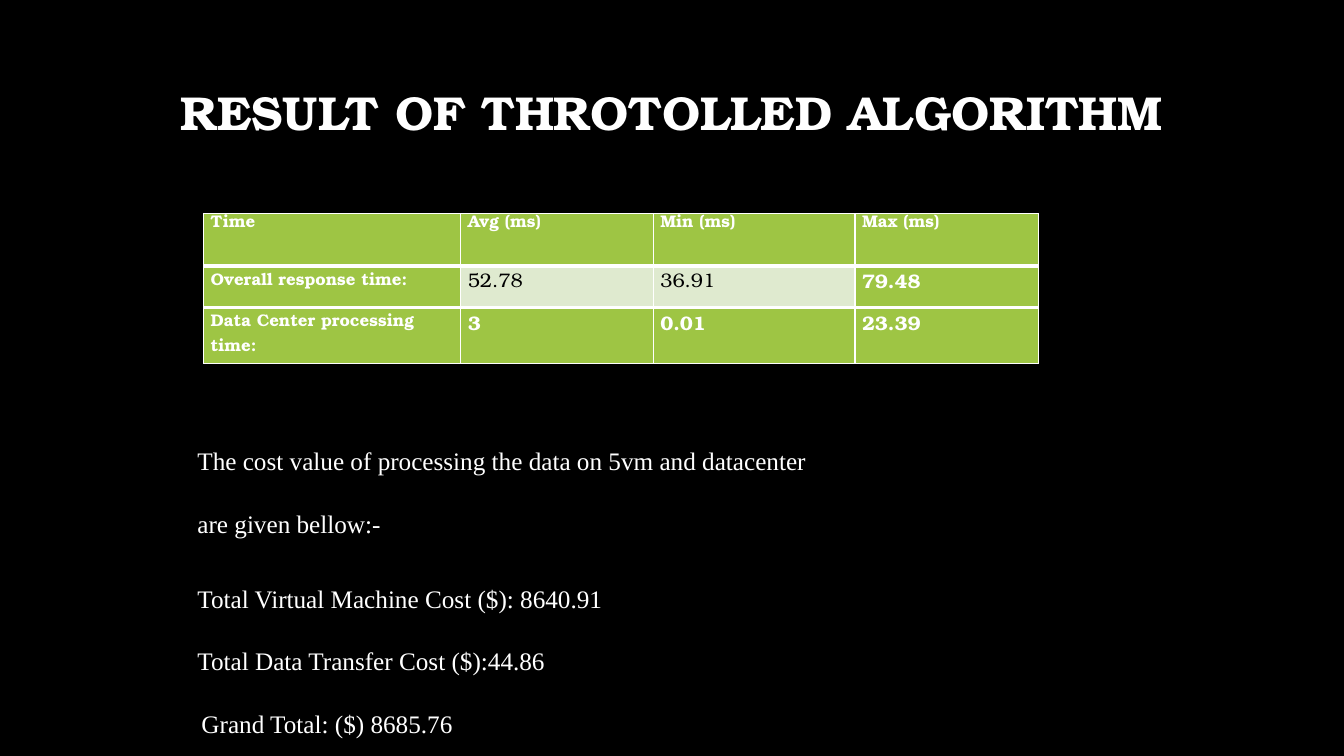
import dataclasses

import lxml.etree
import pptx
import pptx.dml.color
import pptx.enum.text
import pptx.oxml.ns
import pptx.text.text
import pptx.util
from pptx.util import Inches

COLORS = {"black": "000000", "white": "FFFFFF", "green": "9EC544", "pale": "DFEACF"}
HEADING_FONT = "TeX Gyre Bonum"
BODY_FONT = "Times New Roman"
COLUMN_WIDTHS = (2.55, 1.91, 2, 1.82)
ROW_HEIGHTS = (0.52, 0.41, 0.56)
TIMES = (
    ("Time", "Avg (ms)", "Min (ms)", "Max (ms)"),
    ("Overall response time:", "52.78", "36.91", "79.48"),
    ("Data Center processing time:", "3", "0.01", "23.39"),
)
PLAIN_CELLS = {(1, 1), (1, 2)}


@dataclasses.dataclass(frozen=True)
class CostNote:
    text: str
    left: float
    first_line: float
    right: float
    space_before: float


COST_NOTES = (
    CostNote("The cost value of processing the data on 5vm and datacenter are given bellow:-",
             0.53, 0, 1, 8.9),
    CostNote("Total Virtual Machine Cost ($): 8640.91", 0.53, 0, 1, 8.9),
    CostNote("Total Data Transfer Cost ($):44.86 Grand Total: ($) 8685.76",
             0.57, -0.04, 3.5, 0),
)


def rgb(name: str) -> pptx.dml.color.RGBColor:
    return pptx.dml.color.RGBColor.from_string(COLORS[name])


def set_font(para: pptx.text.text._Paragraph, face: str, size: float,
             color: str = "white", bold: bool = False) -> None:
    para.font.name = face
    para.font.size = pptx.util.Pt(size)
    para.font.bold = bold
    para.font.color.rgb = rgb(color)


def set_borders(cell, widths: dict[str, float]) -> None:
    """Draw white borders; widths maps L, R, T and B to points."""
    properties = cell._tc.get_or_add_tcPr()
    for side, width in widths.items():
        line = lxml.etree.SubElement(properties, pptx.oxml.ns.qn(f"a:ln{side}"),
                                     w=str(pptx.util.Pt(width)))
        fill = lxml.etree.SubElement(line, pptx.oxml.ns.qn("a:solidFill"))
        lxml.etree.SubElement(fill, pptx.oxml.ns.qn("a:srgbClr"), val=COLORS["white"])


def add_title(page) -> None:
    box = page.shapes.add_textbox(Inches(1), Inches(0.67), Inches(11.32), Inches(1.45))
    frame = box.text_frame
    frame.word_wrap = True
    frame.vertical_anchor = pptx.enum.text.MSO_ANCHOR.MIDDLE
    frame.margin_bottom = Inches(0.56)
    para = frame.paragraphs[0]
    para.text = "RESULT OF THROTOLLED ALGORITHM"
    para.alignment = pptx.enum.text.PP_ALIGN.CENTER
    para.line_spacing = 0.9
    set_font(para, HEADING_FONT, 34, bold=True)


def add_times_table(page) -> None:
    table = page.shapes.add_table(
        len(ROW_HEIGHTS), len(COLUMN_WIDTHS), Inches(2.02), Inches(2.12),
        Inches(sum(COLUMN_WIDTHS)), Inches(sum(ROW_HEIGHTS))).table
    for column, width in zip(table.columns, COLUMN_WIDTHS):
        column.width = Inches(width)
    last_row = len(TIMES) - 1
    for row_index, (height, texts) in enumerate(zip(ROW_HEIGHTS, TIMES)):
        table.rows[row_index].height = Inches(height)
        for column_index, text in enumerate(texts):
            cell = table.cell(row_index, column_index)
            plain = (row_index, column_index) in PLAIN_CELLS
            label = row_index == 0 or column_index == 0
            set_borders(cell, {"L": 1, "R": 1, "T": 1 if row_index == 0 else 3,
                               "B": 1 if row_index == last_row else 3})
            cell.fill.solid()
            cell.fill.fore_color.rgb = rgb("pale" if plain else "green")
            cell.margin_left = Inches(0.07)
            cell.margin_right = cell.margin_top = cell.margin_bottom = 0
            para = cell.text_frame.paragraphs[0]
            para.text = text
            if row_index == 0:
                para.line_spacing = pptx.util.Pt(13.8)
            set_font(para, HEADING_FONT, 12 if label else 14,
                     "black" if plain else "white", not plain)


def add_cost_notes(page) -> None:
    box = page.shapes.add_textbox(Inches(1.33), Inches(4.05), Inches(7.96), Inches(3.36))
    frame = box.text_frame
    frame.word_wrap = True
    frame.auto_size = pptx.enum.text.MSO_AUTO_SIZE.SHAPE_TO_FIT_TEXT
    for index, note in enumerate(COST_NOTES):
        para = frame.add_paragraph() if index else frame.paragraphs[0]
        para.text = note.text
        para.line_spacing = 2.07
        para.space_before = pptx.util.Pt(note.space_before)
        set_font(para, BODY_FONT, 18)
        properties = para._p.get_or_add_pPr()
        properties.set("marL", str(Inches(note.left)))
        properties.set("marR", str(Inches(note.right)))
        properties.set("indent", str(Inches(note.first_line)))


def main() -> None:
    deck = pptx.Presentation()
    deck.slide_width = Inches(13.33)
    deck.slide_height = Inches(7.5)
    page = deck.slides.add_slide(deck.slide_layouts[6])
    page.background.fill.solid()
    page.background.fill.fore_color.rgb = rgb("black")
    add_title(page)
    add_times_table(page)
    add_cost_notes(page)
    deck.save("out.pptx")


if __name__ == "__main__":
    main()
